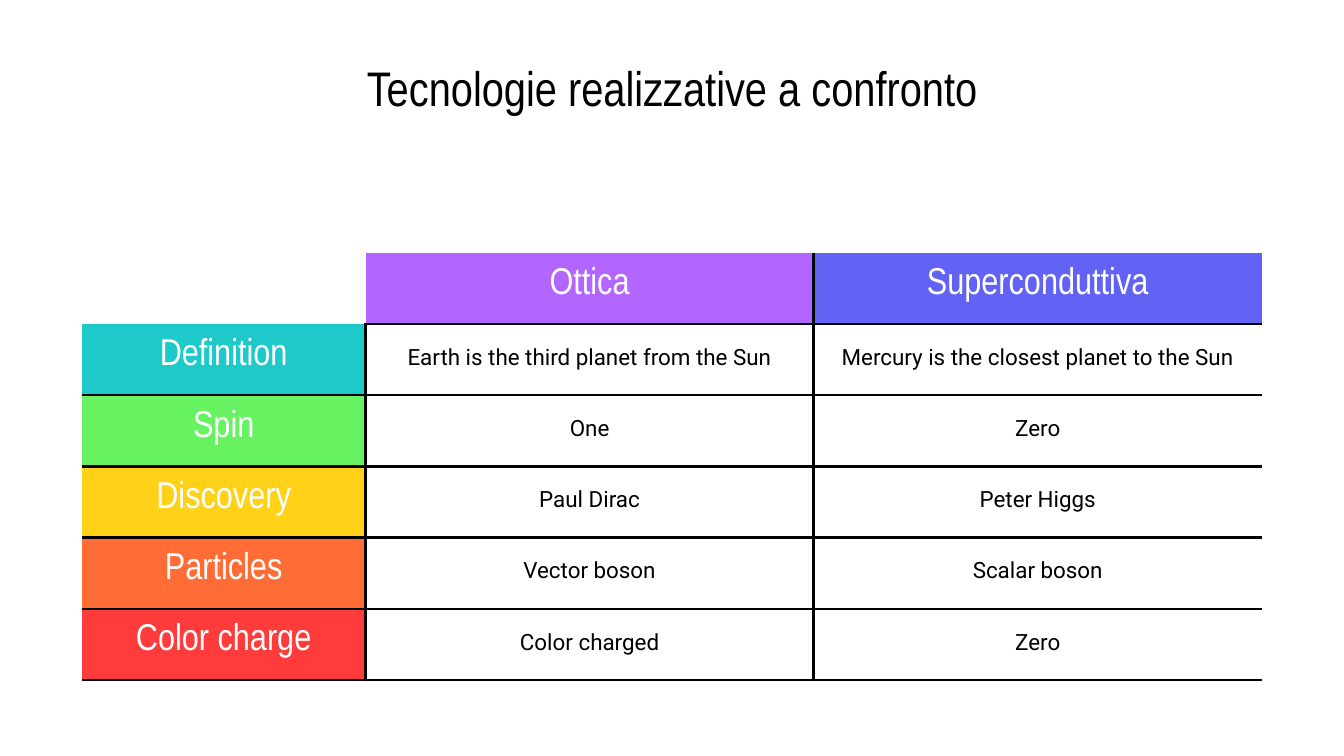
from lxml import etree
from pptx import Presentation
from pptx import util as u
from pptx.dml.color import RGBColor
from pptx.enum import text
from pptx.oxml import ns

BLACK = RGBColor(0x00, 0x00, 0x00)
WHITE = RGBColor(0xFF, 0xFF, 0xFF)
PURPLE = RGBColor(0xB3, 0x66, 0xFF)
BLUE = RGBColor(0x62, 0x62, 0xF5)
TEAL = RGBColor(0x1E, 0xC9, 0xC9)
GREEN = RGBColor(0x66, 0xF2, 0x61)
YELLOW = RGBColor(0xFF, 0xD1, 0x19)
ORANGE = RGBColor(0xFF, 0x6C, 0x36)
RED = RGBColor(0xFF, 0x3B, 0x3B)


def write(frame, words, size=12, font="Roboto", color=BLACK):
    frame.word_wrap = True
    para = frame.paragraphs[0]
    para.alignment = text.PP_ALIGN.CENTER
    run = para.add_run()
    run.text = words
    run.font.size = u.Pt(size)
    run.font.name = font
    run.font.bold = False
    run.font.color.rgb = color


def edge(cell, side, shown):
    line = etree.SubElement(cell._tc.get_or_add_tcPr(), ns.qn("a:ln" + side))
    if shown:
        line.set("w", str(u.Pt(1.5)))
        fill = etree.SubElement(line, ns.qn("a:solidFill"))
        etree.SubElement(fill, ns.qn("a:srgbClr"), val=str(BLACK))
    else:
        etree.SubElement(line, ns.qn("a:noFill"))


deck = Presentation()
deck.slide_width = u.Inches(10)
deck.slide_height = u.Inches(10 * 9 / 16)
slide = deck.slides.add_slide(deck.slide_layouts[5])

title = slide.shapes.title
title.left, title.top = u.Inches(2.2), u.Inches(0.33)
title.width, title.height = u.Inches(5.61), u.Inches(0.63)
frame = title.text_frame
frame.vertical_anchor = text.MSO_ANCHOR.MIDDLE
frame.auto_size = text.MSO_AUTO_SIZE.NONE
frame.margin_left = frame.margin_right = u.Inches(0.1)
frame.margin_top = frame.margin_bottom = u.Inches(0.1)
write(frame, "Tecnologie realizzative a confronto", size=26, font="Arial Narrow")

rows = [
    ("", "Ottica", "Superconduttiva"),
    ("Definition", "Earth is the third planet from the Sun",
     "Mercury is the closest planet to the Sun"),
    ("Spin", "One", "Zero"),
    ("Discovery", "Paul Dirac", "Peter Higgs"),
    ("Particles", "Vector boson", "Scalar boson"),
    ("Color charge", "Color charged", "Zero"),
]
heads = [None, PURPLE, BLUE]
sides = [None, TEAL, GREEN, YELLOW, ORANGE, RED]

wide, first = 8.78, 2.11
rest = (wide - first) / 2
table = slide.shapes.add_table(
    len(rows), len(heads), u.Inches(0.61), u.Inches(1.88),
    u.Inches(wide), u.Inches(3.18)).table
table.first_row = table.horz_banding = False
for col, width in zip(table.columns, (first, rest, rest)):
    col.width = u.Inches(width)

for r, row in enumerate(rows):
    table.rows[r].height = u.Inches(0.53)
    for c, words in enumerate(row):
        cell = table.cell(r, c)
        blank = r + c == 0
        edge(cell, "L", c > 0 and r + c > 1)
        edge(cell, "R", c < 2 and not blank)
        edge(cell, "T", r > 0 and r + c > 1)
        edge(cell, "B", not blank)

        shade = heads[c] if r == 0 else sides[r] if c == 0 else None
        if shade is None:
            cell.fill.background()
        else:
            cell.fill.solid()
            cell.fill.fore_color.rgb = shade

        cell.vertical_anchor = text.MSO_ANCHOR.MIDDLE
        cell.margin_left = cell.margin_right = u.Inches(0.1)
        cell.margin_top = u.Inches(0.05 if shade else 0.07)
        cell.margin_bottom = u.Inches(0.1)
        if shade:
            write(cell.text_frame, words, size=20, font="Arial Narrow", color=WHITE)
        elif words:
            write(cell.text_frame, words)

deck.save("out.pptx")
